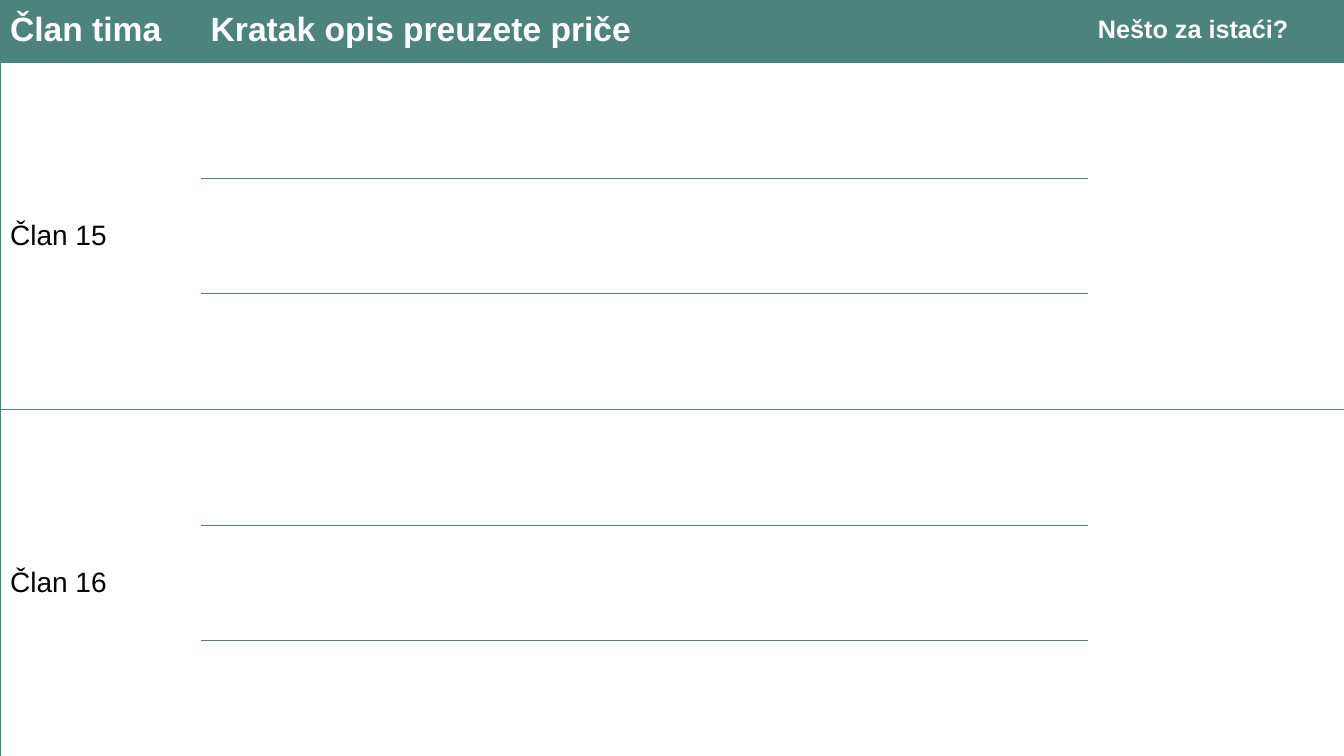
"""Build a team table slide with ruled writing rows for each member."""
import pptx
import pptx.dml.color
import pptx.enum.text
import pptx.oxml
import pptx.oxml.ns
import pptx.util
from pptx.util import Inches

GREEN = pptx.dml.color.RGBColor(0x4C, 0x84, 0x7B)
WHITE = pptx.dml.color.RGBColor(0xFF, 0xFF, 0xFF)
BLACK = pptx.dml.color.RGBColor(0x00, 0x00, 0x00)

COLUMN_WIDTHS = [1.99, 8.8, 2.56]
HEADER_HEIGHT = 0.65
LINE_HEIGHT = 1.147
LINES_PER_MEMBER = 3
HEADINGS = [("Član tima", 24), ("Kratak opis preuzete priče", 24), ("Nešto za istaći?", 18)]
MEMBERS = ["Član 15", "Član 16"]


def write_text(cell, text, size, color, bold):
    """Put formatted text in the vertical middle of a cell."""
    cell.vertical_anchor = pptx.enum.text.MSO_ANCHOR.MIDDLE
    run = cell.text_frame.paragraphs[0].add_run()
    run.text = text
    font_format = {"name": "Arial", "size": pptx.util.Pt(size), "bold": bold}
    for attribute, value in font_format.items():
        setattr(run.font, attribute, value)
    run.font.color.rgb = color


def set_borders(cell, ruled_sides):
    """Rule the given sides of a cell and clear the others."""
    properties = cell._tc.get_or_add_tcPr()
    for position, side in enumerate("LRTB"):
        paint = f'<a:solidFill><a:srgbClr val="{GREEN}"/></a:solidFill>' if side in ruled_sides else "<a:noFill/>"
        border = f'<a:ln{side} {pptx.oxml.ns.nsdecls("a")} w="{pptx.util.Pt(0.5)}">{paint}</a:ln{side}>'
        properties.insert(position, pptx.oxml.parse_xml(border))


def style_cell(cell, fill_color, ruled_sides):
    """Fill a cell and draw its borders."""
    cell.fill.solid()
    cell.fill.fore_color.rgb = fill_color
    set_borders(cell, ruled_sides)


def add_team_table(slide):
    """Add the empty table with its grid, fills and rules."""
    row_heights = [HEADER_HEIGHT] + [LINE_HEIGHT] * LINES_PER_MEMBER * len(MEMBERS)
    table = slide.shapes.add_table(
        len(row_heights), len(COLUMN_WIDTHS), Inches(0), Inches(-0.03),
        Inches(sum(COLUMN_WIDTHS)), Inches(sum(row_heights))).table
    for column, width in zip(table.columns, COLUMN_WIDTHS):
        column.width = Inches(width)
    for row_index, (row, height) in enumerate(zip(table.rows, row_heights)):
        row.height = Inches(height)
        for cell, outer_side in zip(row.cells, ["L", "", "R"]):
            style_cell(cell, WHITE if row_index else GREEN, "TB" + outer_side)
    return table


def fill_headings(table):
    """Write the header row."""
    for column_index, (heading, size) in enumerate(HEADINGS):
        write_text(table.cell(0, column_index), heading, size, WHITE, True)


def fill_member(table, first_row, member):
    """Merge the outer columns of a member's block and write the name."""
    last_row = first_row + LINES_PER_MEMBER - 1
    for column_index in (0, len(COLUMN_WIDTHS) - 1):
        table.cell(first_row, column_index).merge(table.cell(last_row, column_index))
    write_text(table.cell(first_row, 0), member, 20, BLACK, False)


def main():
    """Create the presentation and save it."""
    presentation = pptx.Presentation()
    presentation.slide_width = Inches(13.33)
    presentation.slide_height = Inches(7.5)
    slide = presentation.slides.add_slide(presentation.slide_layouts[6])
    team_table = add_team_table(slide)
    fill_headings(team_table)
    for index, member in enumerate(MEMBERS):
        fill_member(team_table, 1 + index * LINES_PER_MEMBER, member)
    presentation.save("out.pptx")


if __name__ == "__main__":
    main()
